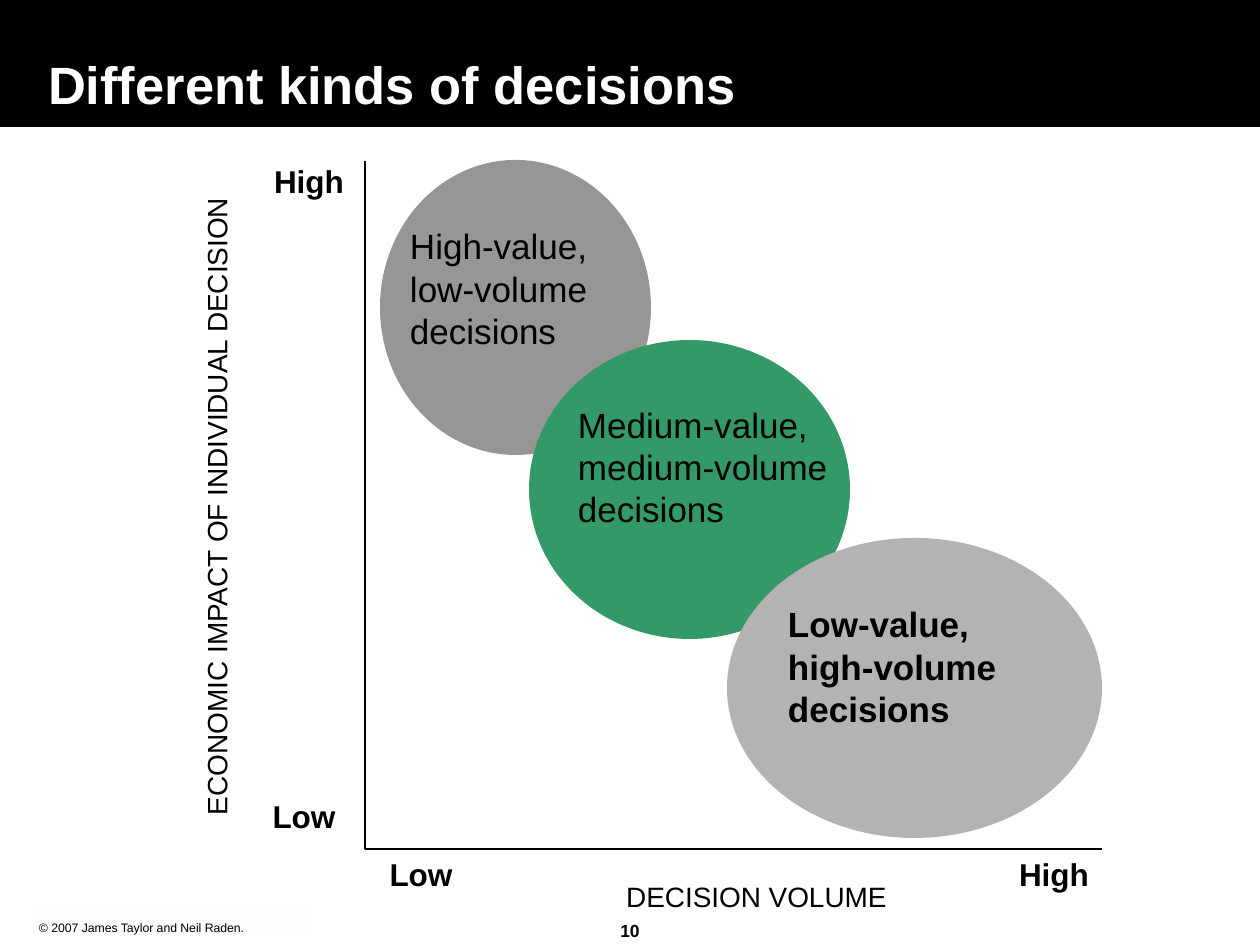
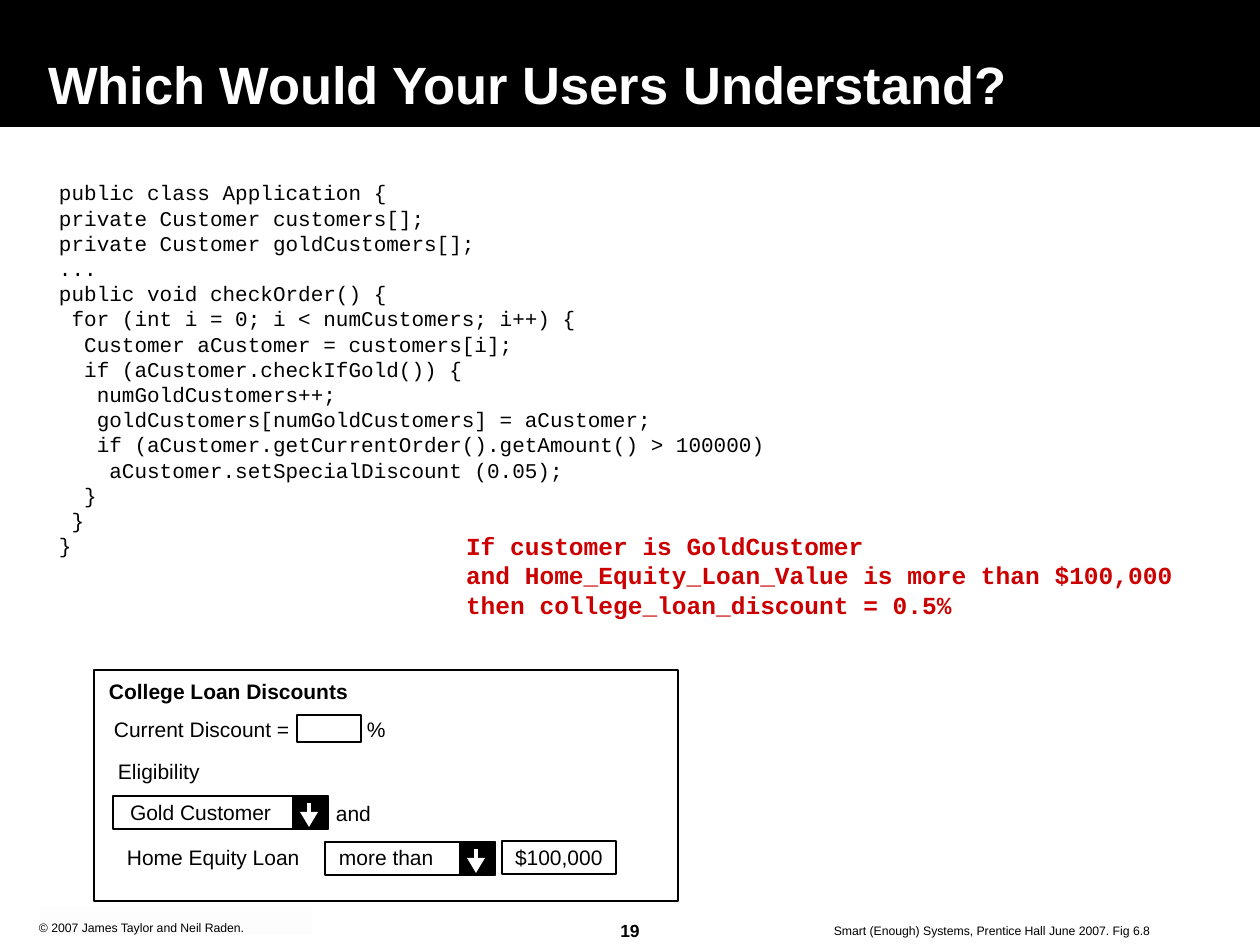
from dataclasses import dataclass

from lxml import etree
from pptx import Presentation
from pptx import util as u
from pptx.dml.color import RGBColor
from pptx.enum import shapes, text
from pptx.oxml.ns import qn

PX = 914400 / 126
RECT = shapes.MSO_SHAPE.RECTANGLE
OVAL = shapes.MSO_SHAPE.OVAL
LEFT, CENTER, RIGHT = text.PP_ALIGN.LEFT, text.PP_ALIGN.CENTER, text.PP_ALIGN.RIGHT


@dataclass(frozen=True)
class Theme:
    sans: str = "Arial"
    mono: str = "Courier New"
    black: str = "000000"
    white: str = "FFFFFF"
    cream: str = "F7F5EF"
    dark_gray: str = "969696"
    light_gray: str = "B3B3B3"
    green: str = "339966"
    red: str = "CC0000"
    title: int = 30
    bubble: int = 20
    scale_end: int = 18
    axis: int = 16
    rule: int = 14
    body: int = 12
    number: int = 10
    small: int = 7
    hairline: float = 0.75
    outline: float = 1.13
    arrow: float = 2.38
    leading: float = 1.2


T = Theme()


def box(parent, kind, rect, fill=None, line=None, width=T.outline):
    """Add a preset shape, or a text box when kind is None."""
    place = [u.Emu(round(v * PX)) for v in rect]
    if kind is None:
        return parent.add_textbox(*place)
    sp = parent.add_shape(kind, *place)
    sp.shadow.inherit = False
    if fill:
        sp.fill.solid()
        sp.fill.fore_color.rgb = RGBColor.from_string(fill)
    else:
        sp.fill.background()
    if line:
        sp.line.color.rgb = RGBColor.from_string(line)
        sp.line.width = u.Pt(width)
    else:
        sp.line.fill.background()
    return sp


def write(sp, words, size, color=T.black, bold=False, font=T.sans, align=LEFT,
          anchor=text.MSO_ANCHOR.TOP, inset=(6, 6)):
    """Fill a shape with one paragraph, breaking it at line ends."""
    tf = sp.text_frame
    tf.word_wrap = True
    tf.vertical_anchor = anchor
    tf.margin_left = tf.margin_right = u.Emu(round(inset[0] * PX))
    tf.margin_top = tf.margin_bottom = u.Emu(round(inset[1] * PX))
    p = tf.paragraphs[0]
    p.alignment = align
    p.line_spacing = u.Pt(size * T.leading)
    for i, line in enumerate(words.split("\n")):
        if i:
            p.add_line_break()
        r = p.add_run()
        r.text = line
        r.font.name, r.font.size, r.font.bold = font, u.Pt(size), bold
        r.font.color.rgb = RGBColor.from_string(color)


prs = Presentation()
prs.slide_width, prs.slide_height = u.Inches(10), u.Inches(7.5)

# Shared band, title and footers
slides = []
for title, number in (("Different kinds of decisions", "10"),
                      ("Which Would Your Users Understand?", "19")):
    s = prs.slides.add_slide(prs.slide_layouts[6])
    slides.append(s)
    box(s.shapes, RECT, (0, 0, 1260, 126), T.black, T.black, T.hairline)
    write(box(s.shapes, None, (581, 920, 98, 25)), number, T.number,
          bold=True, align=CENTER, inset=(0, 0))
    sp = box(s.shapes, RECT, (39, 907, 273, 28), T.cream)
    color = sp.fill._xPr.find(qn("a:solidFill"))[0]
    etree.SubElement(color, qn("a:alpha"), val="10000")
    write(sp, "© 2007 James Taylor and Neil Raden.", T.small,
          anchor=text.MSO_ANCHOR.BOTTOM, inset=(0, 0))
    write(box(s.shapes, None, (42, 0, 1166, 121)), title, T.title, T.white,
          bold=True, anchor=text.MSO_ANCHOR.BOTTOM)
matrix, rules = slides

# Axes
axes = matrix.shapes.build_freeform(365, 161, scale=PX)
axes.add_line_segments([(365, 849), (1102, 849)], close=False)
sp = axes.convert_to_shape()
sp.shadow.inherit = False
sp.fill.background()
sp.line.color.rgb = RGBColor.from_string(T.black)
sp.line.width = u.Pt(T.outline)

# Decision bubbles
for oval, fill, label, words, bold in (
    ((380, 160, 271, 295), T.dark_gray, (404, 219, 231, 139),
     "High-value, low-volume decisions", False),
    ((529, 340, 321, 299), T.green, (572, 398, 266, 139),
     "Medium-value, medium-volume decisions", False),
    ((727, 538, 375, 300), T.light_gray, (782, 597, 284, 139),
     "Low-value, high-volume decisions", True),
):
    g = matrix.shapes.add_group_shape()
    box(g.shapes, OVAL, oval, fill)
    write(box(g.shapes, None, label), words, T.bubble, bold=bold)

# Axis ends and names
for words, left, top in (("High", 257, 156), ("Low", 252, 791),
                         ("Low", 369, 849), ("High", 1002, 849)):
    write(box(matrix.shapes, None, (left, top, 104, 50)), words, T.scale_end,
          bold=True, align=CENTER)
for words, rect, turn in (
    ("ECONOMIC IMPACT OF INDIVIDUAL DECISION", (-108, 483, 650, 47), 270),
    ("DECISION VOLUME", (616, 873, 281, 47), 0),
):
    sp = box(matrix.shapes, None, rect)
    sp.rotation = turn
    write(sp, words, T.axis, align=CENTER)

# Source line
write(box(rules.shapes, None, (599, 917, 557, 28)),
      "Smart (Enough) Systems, Prentice Hall June 2007. Fig 6.8",
      T.small, align=RIGHT)

# Program code and the same rule in plain words
CODE = """public class Application {
private Customer customers[];
private Customer goldCustomers[];
...
public void checkOrder() {
 for (int i = 0; i < numCustomers; i++) {
  Customer aCustomer = customers[i];
  if (aCustomer.checkIfGold()) {
   numGoldCustomers++;
   goldCustomers[numGoldCustomers] = aCustomer;
   if (aCustomer.getCurrentOrder().getAmount() > 100000)
    aCustomer.setSpecialDiscount (0.05);
  }
 }
}"""
RULE = """If customer is GoldCustomer
and Home_Equity_Loan_Value is more than $100,000
then college_loan_discount = 0.5%"""
write(box(rules.shapes, RECT, (53, 174, 891, 391), T.white), CODE, T.body,
      font=T.mono)
write(box(rules.shapes, RECT, (460, 525, 725, 101), T.white), RULE, T.rule,
      T.red, bold=True, font=T.mono)

# Form frame and entry fields
form = rules.shapes.add_group_shape().shapes
for rect in ((94, 670, 584, 231), (297, 715, 64, 27), (502, 841, 114, 33)):
    box(form, RECT, rect, line=T.black)

# Drop-down lists with arrow buttons
for left, top, width in ((113, 796, 215), (325, 842, 170)):
    box(form, RECT, (left, top, width, 33), line=T.black)
    box(form, RECT, (left + width - 35, top, 35, 33), T.black, T.black)
    x = left + width - 19
    stem = form.add_connector(
        shapes.MSO_CONNECTOR.STRAIGHT,
        *[u.Emu(round(v * PX)) for v in (x, top + 7, x, top + 22)])
    stem.line.color.rgb = RGBColor.from_string(T.white)
    stem.line.width = u.Pt(T.arrow)
    etree.SubElement(stem._element.spPr, qn("a:effectLst"))
    head = form.build_freeform(x, top + 31, scale=PX)
    head.add_line_segments([(x - 9, top + 16), (x + 9, top + 16)])
    sp = head.convert_to_shape()
    sp.shadow.inherit = False
    sp.fill.solid()
    sp.fill.fore_color.rgb = RGBColor.from_string(T.white)
    sp.line.fill.background()

# Form labels
for words, left, top, width in (
    ("College Loan Discounts", 97, 673, 272),
    ("Current Discount =", 102, 711, 212),
    ("Eligibility", 106, 753, 114),
    ("Gold Customer", 118, 794, 172),
    ("and", 324, 795, 66),
    ("Home Equity Loan", 115, 839, 204),
    ("more than", 327, 839, 126),
    ("$100,000", 503, 839, 118),
    ("%", 355, 711, 50),
):
    write(box(form, None, (left, top, width, 38)), words, T.body,
          bold=words.startswith("College"), inset=(12, 6))

prs.save("out.pptx")
